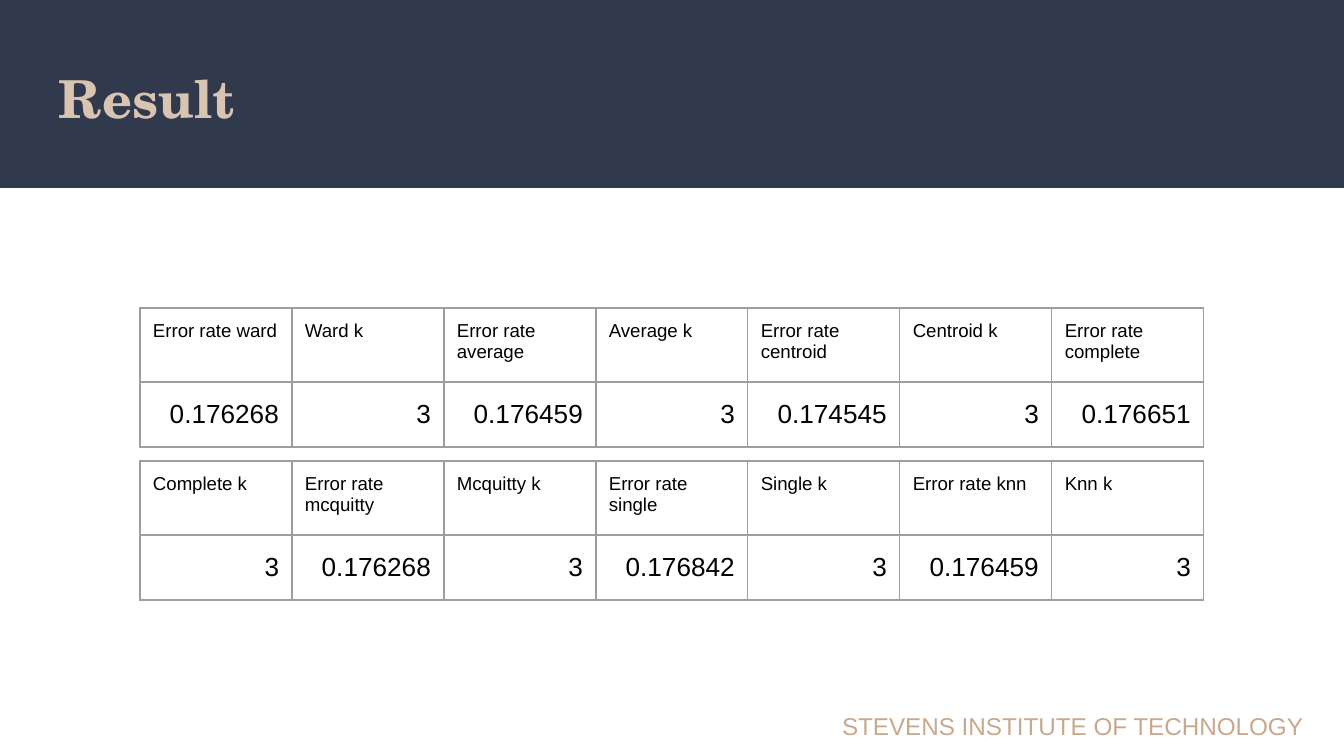
from dataclasses import dataclass

from lxml.etree import SubElement
from pptx import Presentation
from pptx.dml.color import RGBColor
from pptx.enum.shapes import MSO_SHAPE as Shape
from pptx.enum.text import MSO_ANCHOR as Anchor, MSO_AUTO_SIZE as Fit, PP_ALIGN as Align
from pptx.oxml.ns import qn
from pptx.slide import Slide
from pptx.table import _Cell as Cell
from pptx.text.text import TextFrame
from pptx.util import Emu, Pt

WIDE, HIGH = 1344, 756
SCALE = 9144000 / WIDE


@dataclass(frozen=True)
class Style:
    size: int
    color: str
    font: str = "Arial"
    bold: bool = False


@dataclass(frozen=True)
class Theme:
    band: str = "31394D"
    rule: str = "9E9E9E"
    title: Style = Style(28, "D9C4B1", "TeX Gyre Schola", True)
    foot: Style = Style(13, "C7A98D")
    head: Style = Style(10, "000000")
    value: Style = Style(14, "000000")


@dataclass(frozen=True)
class Box:
    left: int
    top: int
    width: int
    height: int

    def emu(self) -> tuple[Emu, ...]:
        return tuple(px(n) for n in (self.left, self.top, self.width, self.height))


@dataclass(frozen=True)
class Grid:
    top: int
    heads: tuple[str, ...]
    values: tuple[str, ...]


THEME = Theme()
LEFT, COL, ROWS = 140, 152, (74, 65)
PAD = 13
GRIDS = (
    Grid(308,
         ("Error rate ward", "Ward k", "Error rate average", "Average k",
          "Error rate centroid", "Centroid k", "Error rate complete"),
         ("0.176268", "3", "0.176459", "3", "0.174545", "3", "0.176651")),
    Grid(461,
         ("Complete k", "Error rate mcquitty", "Mcquitty k", "Error rate single",
          "Single k", "Error rate knn", "Knn k"),
         ("3", "0.176268", "3", "0.176842", "3", "0.176459", "3")),
)


def px(n: int) -> Emu:
    return Emu(round(n * SCALE))


def apply(target: object, form: dict) -> None:
    for key, value in form.items():
        setattr(target, key, value)


def write(frame: TextFrame, text: str, style: Style, **form) -> None:
    """Fill a frame with one paragraph; form holds paragraph settings."""
    para = frame.paragraphs[0]
    apply(para, {"alignment": Align.LEFT, **form})
    run = para.add_run()
    run.text = text
    apply(run.font, {"size": Pt(style.size), "name": style.font, "bold": style.bold})
    run.font.color.rgb = RGBColor.from_string(style.color)


def inset(target: object, side: int, edge: int) -> None:
    apply(target, {"margin_left": px(side), "margin_right": px(side),
                   "margin_top": px(edge), "margin_bottom": px(edge)})


def border(cell: Cell) -> None:
    props = cell._tc.get_or_add_tcPr()
    for side in ("lnL", "lnR", "lnT", "lnB"):
        line = SubElement(props, qn(f"a:{side}"), w=str(Pt(0.75)))
        fill = SubElement(line, qn("a:solidFill"))
        SubElement(fill, qn("a:srgbClr"), val=THEME.rule)


def draw_grid(slide: Slide, grid: Grid) -> None:
    count = len(grid.heads)
    box = Box(LEFT, grid.top, COL * count, sum(ROWS))
    table = slide.shapes.add_table(len(ROWS), count, *box.emu()).table
    apply(table, {"first_row": False, "horz_banding": False})
    for col in table.columns:
        col.width = px(COL)
    for row, high in zip(table.rows, ROWS):
        row.height = px(high)
    lines = (
        (grid.heads, THEME.head, {}),
        (grid.values, THEME.value, {"alignment": Align.RIGHT, "line_spacing": 1.15}),
    )
    for row, (texts, style, form) in enumerate(lines):
        for col, text in enumerate(texts):
            cell = table.cell(row, col)
            inset(cell, PAD, PAD)
            border(cell)
            cell.fill.background()
            write(cell.text_frame, text, style, **form)


def draw_band(slide: Slide) -> None:
    """Draw the header band behind everything else."""
    band = slide.shapes.add_shape(Shape.RECTANGLE, *Box(0, 0, WIDE, 188).emu())
    band.shadow.inherit = False
    band.fill.solid()
    band.fill.fore_color.rgb = RGBColor.from_string(THEME.band)
    band.line.fill.background()
    slide.shapes._spTree.insert(2, band._element)


def draw_title(slide: Slide) -> None:
    title = slide.shapes.title
    spot = zip(("left", "top", "width", "height"), Box(46, 52, 1252, 92).emu())
    apply(title, dict(spot))
    frame = title.text_frame
    apply(frame, {"auto_size": Fit.NONE, "word_wrap": True,
                  "vertical_anchor": Anchor.MIDDLE})
    inset(frame, PAD, PAD)
    write(frame, "Result", THEME.title)


def draw_foot(slide: Slide) -> None:
    frame = slide.shapes.add_textbox(*Box(829, 704, 491, 43).emu()).text_frame
    inset(frame, PAD, 7)
    write(frame, "STEVENS INSTITUTE OF TECHNOLOGY", THEME.foot)


def main() -> None:
    deck = Presentation()
    apply(deck, {"slide_width": px(WIDE), "slide_height": px(HIGH)})
    slide = deck.slides.add_slide(deck.slide_layouts[5])
    draw_band(slide)
    draw_title(slide)
    for grid in GRIDS:
        draw_grid(slide, grid)
    draw_foot(slide)
    deck.save("out.pptx")


if __name__ == "__main__":
    main()
